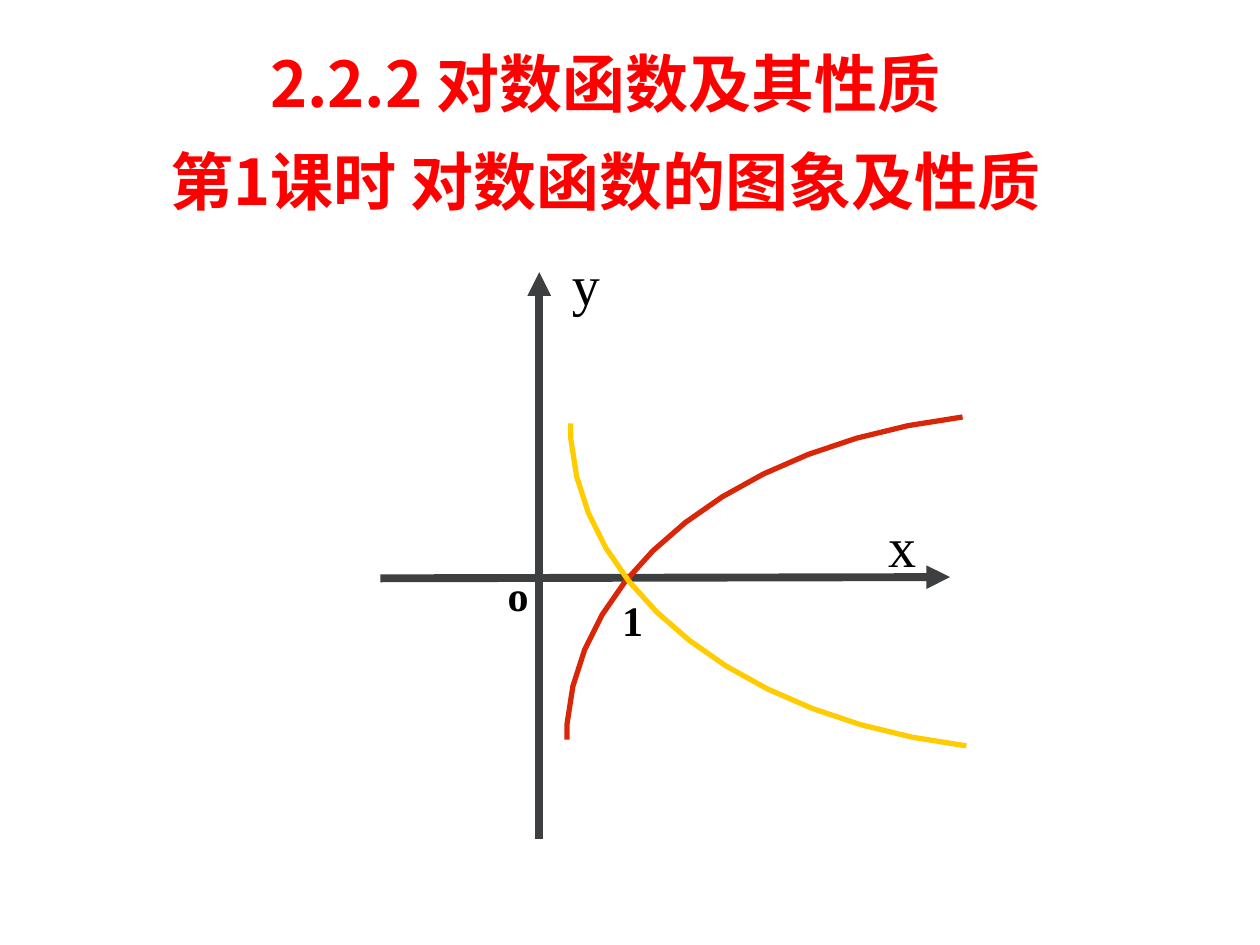
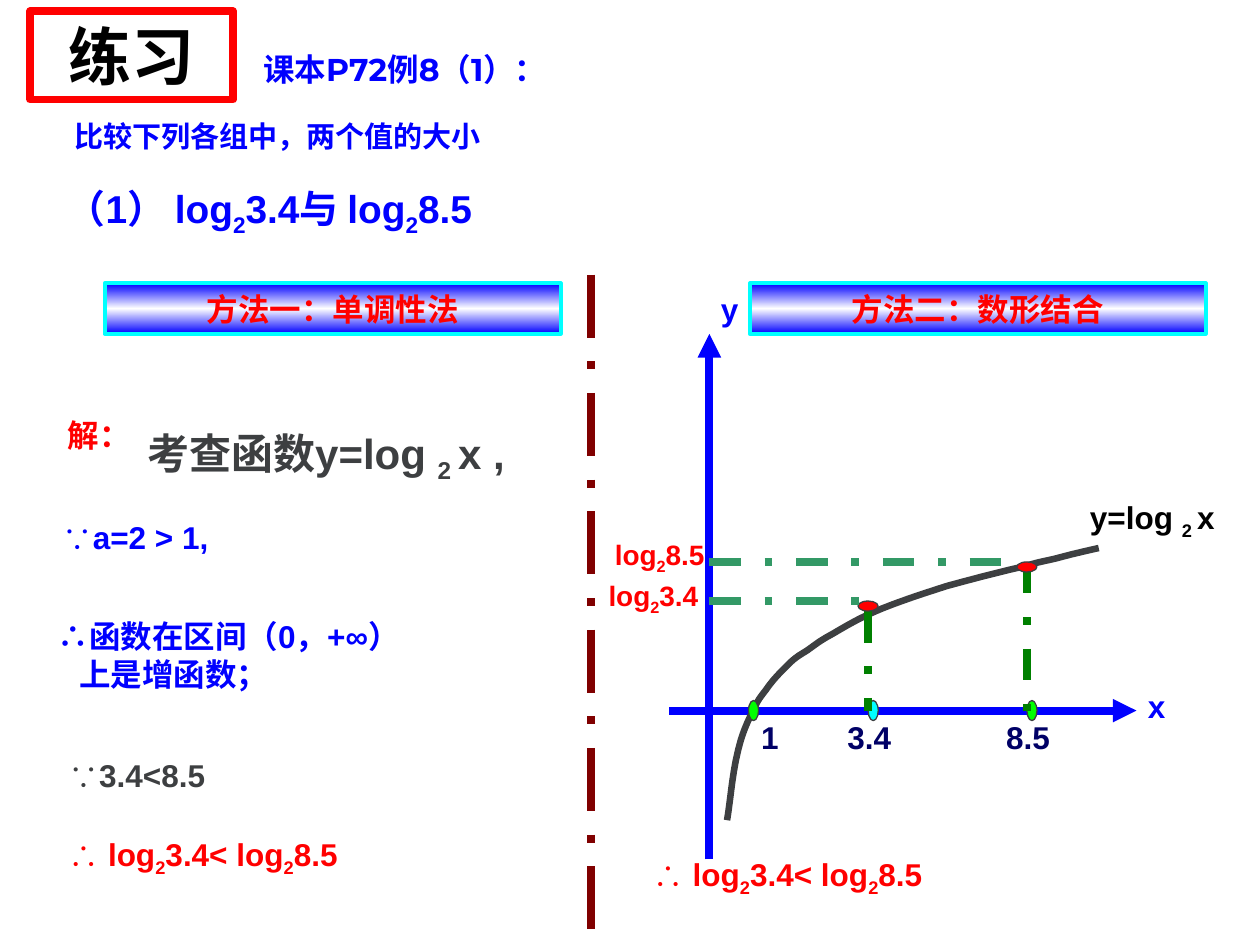
from copy import deepcopy
from dataclasses import dataclass

from lxml import etree
from pptx import Presentation
from pptx.dml.color import RGBColor
from pptx.enum.dml import MSO_LINE
from pptx.enum.shapes import MSO_CONNECTOR, MSO_SHAPE
from pptx.enum.text import MSO_ANCHOR, MSO_AUTO_SIZE, PP_ALIGN
from pptx.oxml.ns import qn
from pptx.util import Inches, Pt

LEFT, CENTER = PP_ALIGN.LEFT, PP_ALIGN.CENTER
TOP, MIDDLE = MSO_ANCHOR.TOP, MSO_ANCHOR.MIDDLE
STRAIGHT = MSO_CONNECTOR.STRAIGHT
RECTANGLE, ELLIPSE = MSO_SHAPE.RECTANGLE, MSO_SHAPE.OVAL
DASH_DOT, LONG_DASH_DOT = MSO_LINE.DASH_DOT, MSO_LINE.LONG_DASH_DOT
TITLE_AND_CONTENT, TITLE_ONLY = 1, 5


@dataclass(frozen=True)
class Theme:
    # Colours
    red: str = "FF0000"
    blue: str = "0000FF"
    navy: str = "000066"
    black: str = "000000"
    white: str = "FFFFFF"
    grey: str = "3D3F41"
    cyan: str = "00FFFF"
    lime: str = "00FF00"
    green: str = "008000"
    sea_green: str = "339966"
    maroon: str = "800000"
    rising: str = "DA2608"
    falling: str = "FFCC00"
    # Type sizes in points
    title: float = 36
    axis: float = 32
    large: float = 24
    formula: float = 22.2
    text: float = 18
    prompt: float = 16.6
    small: float = 16
    # Line widths in points
    thick: float = 4.5
    thin: float = 0.75
    # Fonts
    sans: str = "Arial"
    serif: str = "Times New Roman"
    chinese: str = "Noto Sans CJK SC"
    accent: str = "Montserrat"


def bezier_points(controls, steps=12):
    """Points along a chain of cubic curves: a start, then three points each."""
    points = [controls[0]]
    for first in range(0, len(controls) - 1, 3):
        a, b, c, d = controls[first:first + 4]
        for step in range(1, steps + 1):
            t = step / steps
            s = 1 - t
            points.append(tuple(
                s**3 * a[i] + 3 * s * s * t * b[i] + 3 * s * t * t * c[i] + t**3 * d[i]
                for i in (0, 1)))
    return points


class SlideBuilder:
    def __init__(self, presentation, theme):
        self.presentation = presentation
        self.theme = theme
        self.slide = None

    def new_slide(self, layout):
        layouts = self.presentation.slide_layouts
        self.slide = self.presentation.slides.add_slide(layouts[layout])

    def place(self, shape, box):
        shape.left, shape.top, shape.width, shape.height = map(Inches, box)

    def frame(self, shape, anchor=TOP):
        frame = shape.text_frame
        frame.word_wrap = True
        frame.auto_size = MSO_AUTO_SIZE.NONE
        frame.vertical_anchor = anchor
        return frame

    def paragraph(self, frame, text, size, color, font=None, bold=True, align=LEFT,
                  spacing=1.0, before=0, indent=0):
        """Write one paragraph; text between underscores is set as subscript."""
        first = frame.paragraphs[0]
        paragraph = frame.add_paragraph() if first.runs else first
        properties = paragraph._p.get_or_add_pPr()
        properties.set("marL", str(Inches(indent)))
        properties.set("indent", "0")
        etree.SubElement(properties, qn("a:buNone"))
        paragraph.alignment = align
        paragraph.line_spacing = spacing
        paragraph.space_before = Pt(before)
        for index, part in enumerate(text.split("_")):
            run = paragraph.add_run()
            run.text = part
            run.font.size = Pt(size)
            run.font.bold = bold
            run.font.color.rgb = RGBColor.from_string(color)
            run.font.name = font or self.theme.sans
            run_properties = run._r.get_or_add_rPr()
            etree.SubElement(run_properties, qn("a:ea"), typeface=self.theme.chinese)
            if index % 2:
                run_properties.set("baseline", "-25000")

    def title(self, box, lines, color, outline=None, **style):
        title = self.slide.shapes.title
        self.place(title, box)
        if outline:
            self.outline(title, outline, self.theme.thick)
        frame = self.frame(title, MIDDLE)
        for line in lines:
            self.paragraph(frame, line, self.theme.title, color, align=CENTER, **style)

    def body(self, box):
        body = self.slide.placeholders[1]
        self.place(body, box)
        return self.frame(body)

    def text(self, box, text, size, color, anchor=TOP, **style):
        shape = self.slide.shapes.add_textbox(*map(Inches, box))
        frame = self.frame(shape, anchor)
        self.paragraph(frame, text, size, color, **style)
        return frame

    def outline(self, shape, color, width):
        shape.line.color.rgb = RGBColor.from_string(color)
        shape.line.width = Pt(width)

    def line(self, start, end, color, dash=None, arrow=False):
        connector = self.slide.shapes.add_connector(
            STRAIGHT, *map(Inches, (*start, *end)))
        self.outline(connector, color, self.theme.thick)
        if dash:
            connector.line.dash_style = dash
        if arrow:
            etree.SubElement(connector.line._get_or_add_ln(), qn("a:tailEnd"),
                             type="triangle")
        etree.SubElement(connector._element.spPr, qn("a:effectLst"))

    def curve(self, controls, color, width):
        start, *rest = [(Inches(x), Inches(y)) for x, y in bezier_points(controls)]
        builder = self.slide.shapes.build_freeform(*start)
        builder.add_line_segments(rest, close=False)
        shape = builder.convert_to_shape()
        shape.shadow.inherit = False
        shape.fill.background()
        self.outline(shape, color, width)

    def dot(self, center, width, height, color):
        x, y = center
        box = (x - width / 2, y - height / 2, width, height)
        shape = self.slide.shapes.add_shape(ELLIPSE, *map(Inches, box))
        shape.shadow.inherit = False
        shape.fill.solid()
        shape.fill.fore_color.rgb = RGBColor.from_string(color)
        self.outline(shape, self.theme.grey, self.theme.thin)

    def method_band(self, left, text):
        theme = self.theme
        shape = self.slide.shapes.add_shape(
            RECTANGLE, *map(Inches, (left, 2.25, 3.62, 0.4)))
        shape.shadow.inherit = False
        shape.fill.gradient()
        shape.fill.gradient_angle = 90
        edge, middle = shape.fill.gradient_stops
        edge.color.rgb = RGBColor.from_string(theme.blue)
        edge.position = 0
        middle.color.rgb = RGBColor.from_string(theme.white)
        middle.position = 0.5
        stops = shape._element.spPr.find(".//" + qn("a:gsLst"))
        last = deepcopy(stops[0])
        last.set("pos", "100000")
        stops.append(last)
        self.outline(shape, theme.cyan, 2.25)
        self.paragraph(self.frame(shape), text, theme.text, theme.red, align=CENTER)


def build_opening(builder):
    theme = builder.theme
    builder.new_slide(TITLE_ONLY)
    builder.title((0.18, 0.09, 9.25, 1.72),
                  ["2.2.2 对数函数及其性质", "第1课时 对数函数的图象及性质"],
                  theme.red, font=theme.chinese, spacing=1.3)

    # Axes
    builder.line((3.02, 4.59), (7.54, 4.58), theme.grey, arrow=True)
    builder.line((4.28, 6.66), (4.28, 2.16), theme.grey, arrow=True)
    for name, left, top in (("x", 6.95, 4.01), ("y", 4.44, 1.93)):
        builder.text((left, top, 0.5, 0.64), name, theme.axis, theme.black,
                     font=theme.serif, bold=False)

    # Rising curve and its reflection in the x axis
    rising = [(7.64, 3.31), (5.87, 3.52), (4.59, 4.52), (4.5, 5.75),
              (4.5, 5.79), (4.5, 5.83), (4.5, 5.87)]
    falling = [(x + 0.03, 9.23 - y) for x, y in rising]
    builder.curve(rising, theme.rising, 3)
    builder.curve(falling, theme.falling, 3)
    for name, left, top in (("o", 3.93, 4.47), ("1", 4.84, 4.67)):
        builder.text((left, top, 0.5, 0.5), name, theme.large, theme.black,
                     font=theme.serif)


def build_graph(builder):
    theme = builder.theme
    axis_x, axis_y = 5.63, 5.64

    # Axes and logarithm curve
    builder.line((5.31, axis_y), (9.02, axis_y), theme.blue, arrow=True)
    builder.line((axis_x, 6.82), (axis_x, 2.65), theme.blue, arrow=True)
    builder.curve([
        (5.77, 6.51), (5.79, 6.41), (5.81, 6.16), (5.85, 5.99),
        (5.89, 5.81), (5.93, 5.74), (5.98, 5.63),
        (6.03, 5.53), (6.04, 5.53), (6.09, 5.46),
        (6.14, 5.39), (6.19, 5.34), (6.25, 5.28),
        (6.31, 5.22), (6.33, 5.21), (6.41, 5.16),
        (6.48, 5.11), (6.5, 5.09), (6.61, 5.03),
        (6.73, 4.96), (6.81, 4.91), (7, 4.83),
        (7.18, 4.76), (7.3, 4.72), (7.52, 4.65),
        (7.74, 4.59), (7.93, 4.54), (8.11, 4.5),
        (8.28, 4.45), (8.27, 4.46), (8.39, 4.43),
        (8.5, 4.4), (8.63, 4.37), (8.72, 4.35)], theme.grey, 3.75)
    for name, left, top in (("x", 8.78, 5.4), ("y", 5.39, 2.25)):
        builder.text((left, top, 0.8, 0.4), name, theme.text, theme.blue, align=CENTER)

    # Values on the x axis
    marks = (("1", 5.98, 5.71, theme.lime), ("3.4", 6.93, 6.5, theme.cyan),
             ("8.5", 8.19, 7.76, theme.lime))
    for value, x, label_left, color in marks:
        builder.dot((x, axis_y), 0.08, 0.16, color)
        builder.text((label_left, 5.56, 0.8, 0.49), value, theme.text, theme.navy,
                     align=CENTER, spacing=1.3)

    # Points on the curve, with guides to both axes
    points = ((6.89, 4.81, 4.85, 4.77), (8.15, 4.5, 4.46, 4.46))
    for x, y, guide_top, guide_y in points:
        builder.line((x, guide_top), (x, axis_y), theme.green, dash=DASH_DOT)
        builder.dot((x, y), 0.16, 0.08, theme.red)
        # The level guide stops above the centre of the point
        end = x if guide_y < y and x < 7 else 8.07
        builder.line((axis_x, guide_y), (end, guide_y), theme.sea_green, dash=DASH_DOT)

    # Curve and level labels
    builder.text((8.47, 3.99, 1.35, 0.31), "y=log _2 _x", theme.text, theme.black,
                 align=CENTER, spacing=0.6)
    for value, left, top in (("8.5", 4.69, 4.22), ("3.4", 4.64, 4.54)):
        builder.text((left, top, 1.09, 0.41), "log_2_" + value, theme.small, theme.red,
                     align=CENTER)


def build_exercise(builder):
    theme = builder.theme
    builder.new_slide(TITLE_AND_CONTENT)
    builder.title((0.24, 0.09, 1.61, 0.7), ["练习"], theme.black, outline=theme.red)
    builder.text((1.99, 0.34, 3.77, 0.45), "课本P72例8（1）：", theme.text, theme.blue,
                 anchor=MIDDLE, font=theme.accent, spacing=0.9)

    # Question
    question = builder.body((0.43, 0.92, 6.38, 0.94))
    builder.paragraph(question, "比较下列各组中，两个值的大小", theme.prompt, theme.blue,
                      spacing=0.9, indent=0.06)
    builder.paragraph(question, "（1） log_2_3.4与 log_2_8.5", theme.formula, theme.blue,
                      spacing=0.9, before=18)

    # Two methods side by side
    builder.method_band(0.83, "方法一：单调性法")
    builder.method_band(5.95, "方法二：数形结合")
    builder.line((4.69, 2.18), (4.69, 7.45), theme.maroon, dash=LONG_DASH_DOT)

    # Solution by monotonicity
    builder.text((0.44, 3.25, 1, 0.4), "解：", theme.text, theme.red)
    builder.text((1.07, 3.34, 3.6, 0.56), "考查函数y=log _2 _x ,", theme.large, theme.grey)
    builder.text((0.39, 4.06, 3.28, 0.4), "∵a=2 > 1,", theme.text, theme.blue)
    interval = builder.text((0.36, 4.85, 4.3, 0.7), "∴函数在区间（0，+∞）",
                            theme.text, theme.blue)
    builder.paragraph(interval, "上是增函数；", theme.text, theme.blue, indent=0.17)
    builder.text((0.44, 5.95, 2.99, 0.4), "∵3.4<8.5", theme.text, theme.grey)

    # Solution by graph
    build_graph(builder)

    # The same conclusion under each method
    for left, top in ((0.44, 6.58), (5.08, 6.74)):
        builder.text((left, top, 4.2, 0.44), "∴ log_2_3.4< log_2_8.5",
                     theme.text, theme.red)


def main():
    presentation = Presentation()
    presentation.slide_width = Inches(10)
    presentation.slide_height = Inches(7.5)
    builder = SlideBuilder(presentation, Theme())
    build_opening(builder)
    build_exercise(builder)
    presentation.save("out.pptx")


if __name__ == "__main__":
    main()
